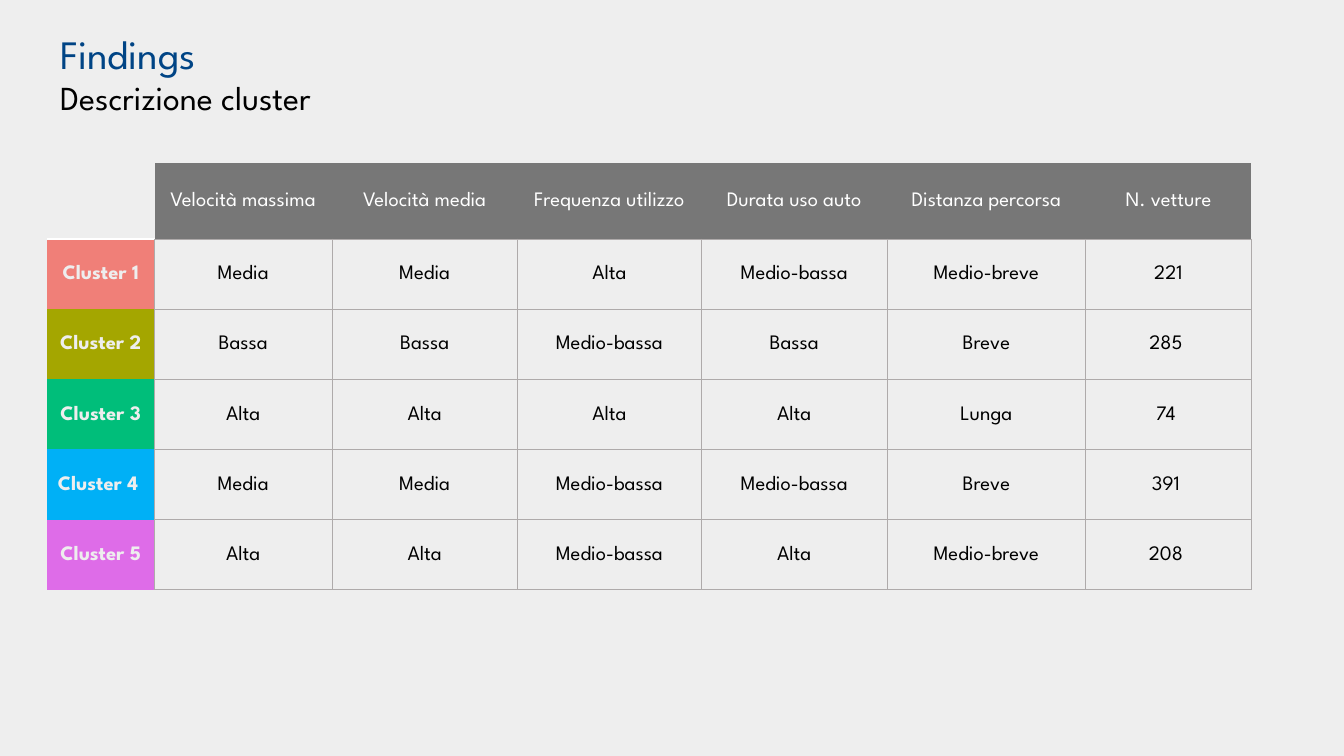
"""Build the slide with the cluster description table."""
from pptx import Presentation
from pptx.dml.color import RGBColor
from pptx.enum.text import MSO_ANCHOR, PP_ALIGN
from pptx.oxml import parse_xml
from pptx.oxml.ns import nsdecls
from pptx.util import Inches, Pt

FONT = "League Spartan"
BLUE = RGBColor(0x00, 0x44, 0x85)
BLACK = RGBColor(0x00, 0x00, 0x00)
WHITE = RGBColor(0xFF, 0xFF, 0xFF)
PALE = RGBColor(0xEE, 0xEE, 0xEE)
GRAY = RGBColor(0x77, 0x77, 0x77)
RULE = RGBColor(0xAE, 0xAA, 0xAA)
CLUSTER_COLORS = [
    RGBColor(0xF0, 0x7F, 0x78),
    RGBColor(0xA4, 0xA6, 0x00),
    RGBColor(0x00, 0xBE, 0x7A),
    RGBColor(0x00, 0xB0, 0xF6),
    RGBColor(0xDE, 0x6C, 0xE8),
]
ROWS = [
    ["", "Velocità massima", "Velocità media", "Frequenza utilizzo",
     "Durata uso auto", "Distanza percorsa", "N. vetture"],
    ["Cluster 1", "Media", "Media", "Alta", "Medio-bassa", "Medio-breve", "221"],
    ["Cluster 2", "Bassa", "Bassa", "Medio-bassa", "Bassa", "Breve", "285 "],
    ["Cluster 3", "Alta", "Alta", "Alta", "Alta", "Lunga", "74 "],
    ["Cluster 4 ", "Media", "Media", "Medio-bassa", "Medio-bassa", "Breve", "391 "],
    ["Cluster 5", "Alta", "Alta", "Medio-bassa", "Alta", "Medio-breve", "208 "],
]
COLUMN_WIDTHS = [0.8, 1.32, 1.38, 1.37, 1.38, 1.48, 1.23]
TABLE_HEIGHT = 3.18
HEADER_HEIGHT = 0.57
CLUSTER_HEIGHT = (TABLE_HEIGHT - HEADER_HEIGHT) / len(CLUSTER_COLORS)


def style_run(run, size, color, bold=False):
    run.font.name = FONT
    run.font.size = Pt(size)
    run.font.color.rgb = color
    run.font.bold = bold


def set_borders(cell, borders):
    properties = cell._tc.get_or_add_tcPr()
    for position, side in enumerate("LRTB"):
        color, width = borders.get(side, (None, 0))
        fill = (f'<a:solidFill><a:srgbClr val="{color}"/></a:solidFill>'
                if color else "<a:noFill/>")
        properties.insert(position, parse_xml(
            f'<a:ln{side} {nsdecls("a")} w="{Pt(width)}">{fill}</a:ln{side}>'))


prs = Presentation()
prs.slide_width, prs.slide_height = Inches(10), Inches(10 * 9 / 16)
slide = prs.slides.add_slide(prs.slide_layouts[6])
slide.background.fill.solid()
slide.background.fill.fore_color.rgb = PALE

heading = slide.shapes.add_textbox(
    Inches(0.35), Inches(0.33), Inches(5.64), Inches(0.43)).text_frame
heading.word_wrap = True
heading.vertical_anchor = MSO_ANCHOR.MIDDLE
heading.text = "Findings \vDescrizione cluster"
title, subtitle = heading.paragraphs[0].runs
style_run(title, 21.6, BLUE)
style_run(subtitle, 18, BLACK)

clusters = slide.shapes.add_table(
    len(ROWS), len(COLUMN_WIDTHS), Inches(0.35), Inches(1.21),
    Inches(sum(COLUMN_WIDTHS)), Inches(TABLE_HEIGHT)).table
for column, width in zip(clusters.columns, COLUMN_WIDTHS):
    column.width = Inches(width)
for r, row in enumerate(clusters.rows):
    row.height = Inches(CLUSTER_HEIGHT if r else HEADER_HEIGHT)

thin, thick = (RULE, 0.5), (WHITE, 1)
for r, labels in enumerate(ROWS):
    for c, label in enumerate(labels):
        if r == 0:
            fill, color = (GRAY if c else PALE), WHITE
            borders = {"B": thin if c else thick}
        elif c == 0:
            fill, color = CLUSTER_COLORS[r - 1], PALE
            borders = {"R": thin, "T": thick} if r == 1 else {"R": thin}
        else:
            fill, color = PALE, BLACK
            borders = dict.fromkeys("LRTB", thin)
        cell = clusters.cell(r, c)
        cell.fill.solid()
        cell.fill.fore_color.rgb = fill
        set_borders(cell, borders)
        cell.vertical_anchor = MSO_ANCHOR.MIDDLE
        cell.margin_left = cell.margin_right = cell.margin_top = Inches(0.01)
        cell.margin_bottom = 0
        cell.text_frame.text = label
        paragraph = cell.text_frame.paragraphs[0]
        paragraph.alignment = PP_ALIGN.CENTER
        for run in paragraph.runs:
            style_run(run, 11, color, bold=r > 0 and c == 0)

prs.save("out.pptx")
